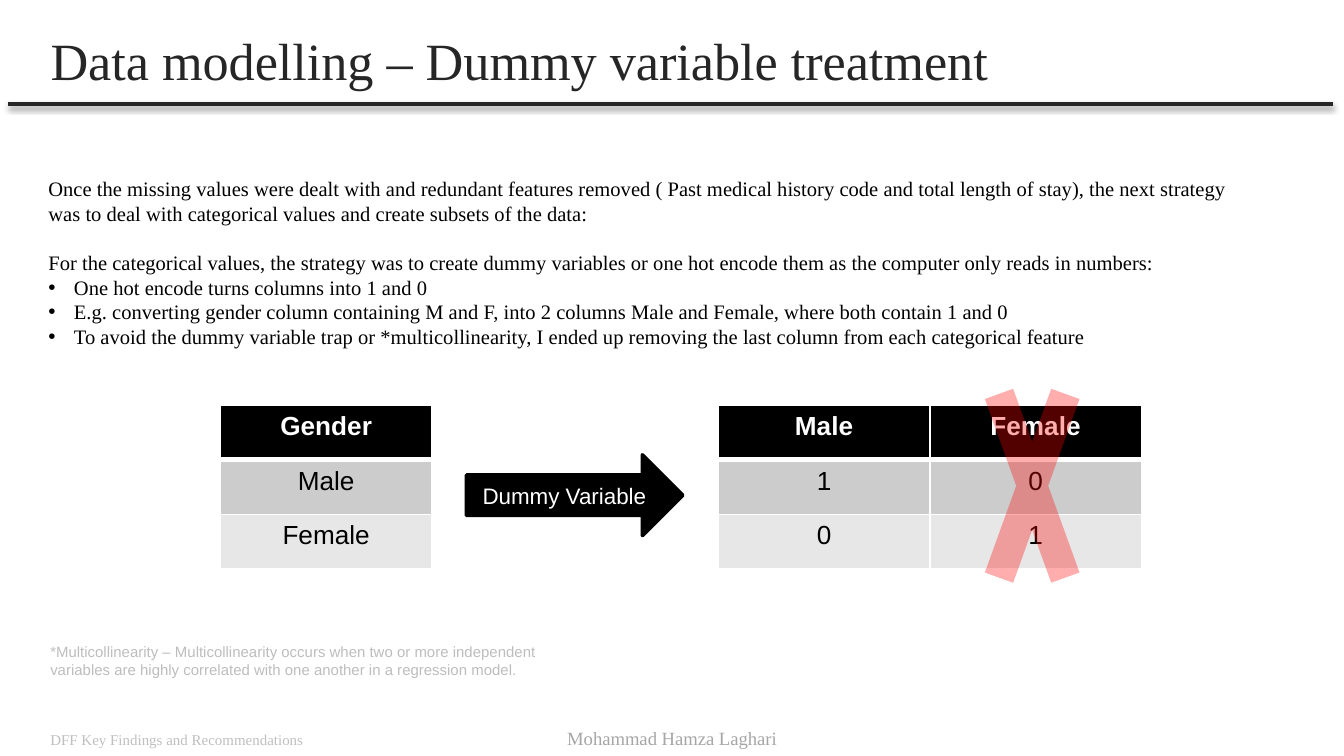
from lxml import etree
from pptx import Presentation
from pptx.dml.color import RGBColor
from pptx.enum.shapes import MSO_CONNECTOR, MSO_SHAPE
from pptx.enum.text import MSO_ANCHOR, MSO_AUTO_SIZE, PP_ALIGN
from pptx.oxml.ns import qn
from pptx.util import Inches, Pt

BLACK = RGBColor(0x00, 0x00, 0x00)
WHITE = RGBColor(0xFF, 0xFF, 0xFF)
CHARCOAL = RGBColor(0x26, 0x26, 0x26)
FOOTER_GREY = RGBColor(0xBF, 0xBF, 0xBF)
AUTHOR_GREY = RGBColor(0xA6, 0xA6, 0xA6)
NOTE_GREY = RGBColor(0xBD, 0xBD, 0xBD)
RED = RGBColor(0xFF, 0x00, 0x00)
ROW_FILLS = [BLACK, RGBColor(0xCC, 0xCC, 0xCC), RGBColor(0xE7, 0xE7, 0xE7)]

SERIF, SANS = "Times New Roman", "Arial"
GRID = Inches(0.1)  # the slide is 100 columns by 56.25 rows
COLUMN_WIDTH, ROW_HEIGHT = 15.74, 4.06
TABLE_TOP = 30.16

INTRODUCTION = [
    "Once the missing values were dealt with and redundant features removed "
    "( Past medical history code and total length of stay), the next strategy "
    "was to deal with categorical values and create subsets of the data:",
    "For the categorical values, the strategy was to create dummy variables or "
    "one hot encode them as the computer only reads in numbers:",
]
BULLETS = [
    "One hot encode turns columns into 1 and 0",
    "E.g. converting gender column containing M and F, into 2 columns Male and "
    "Female, where both contain 1 and 0",
    "To avoid the dummy variable trap or *multicollinearity, I ended up removing "
    "the last column from each categorical feature",
]
FOOTNOTE = (
    "*Multicollinearity – Multicollinearity occurs when two or more independent "
    "variables are highly correlated with one another in a regression model."
)


def cells(*lengths):
    """Turn grid lengths into slide lengths."""
    return [round(length * GRID) for length in lengths]


def style_paragraph(paragraph, size, color, name=SERIF, bold=False, align=PP_ALIGN.LEFT):
    paragraph.alignment = align
    font = paragraph.font
    font.size, font.name, font.bold = Pt(size), name, bold
    font.color.rgb = color


def add_cell_borders(cell, row_index):
    """Draw thin white borders, with a thick one below the header row."""
    widths = {"L": 1, "R": 1, "T": 3 if row_index == 1 else 1, "B": 3 if row_index == 0 else 1}
    properties = cell._tc.get_or_add_tcPr()
    for side, width in widths.items():
        border = etree.SubElement(properties, qn(f"a:ln{side}"), w=str(Pt(width)))
        fill = etree.SubElement(border, qn("a:solidFill"))
        etree.SubElement(fill, qn("a:srgbClr"), val=str(WHITE))


class SlideBuilder:
    def __init__(self):
        self.presentation = Presentation()
        self.presentation.slide_width, self.presentation.slide_height = cells(100, 56.25)
        layout = self.presentation.slide_layouts[1]
        self.slide = self.presentation.slides.add_slide(layout)
        self.shapes = self.slide.shapes

    def place(self, shape, box):
        shape.left, shape.top, shape.width, shape.height = cells(*box)

    def title(self, text, box):
        title = self.shapes.title
        self.place(title, box)
        frame = title.text_frame
        frame.text = text
        frame.auto_size = MSO_AUTO_SIZE.NONE
        frame.vertical_anchor = MSO_ANCHOR.MIDDLE
        style_paragraph(frame.paragraphs[0], 28, CHARCOAL)

    def body(self, introduction, bullets, box):
        body = self.slide.placeholders[1]
        self.place(body, box)
        frame = body.text_frame
        frame.text = "\n".join(introduction + bullets)
        frame.auto_size = MSO_AUTO_SIZE.NONE
        for index, paragraph in enumerate(frame.paragraphs):
            is_bullet = index >= len(introduction)
            indent = Inches(0.19) if is_bullet else 0
            properties = paragraph._p.get_or_add_pPr()
            properties.set("marL", str(indent))
            properties.set("indent", str(-indent))
            if is_bullet:
                etree.SubElement(properties, qn("a:buFont"), typeface=SANS)
                etree.SubElement(properties, qn("a:buChar"), char="•")
            else:
                etree.SubElement(properties, qn("a:buNone"))
            paragraph.space_before = Pt(0)
            style_paragraph(paragraph, 11, BLACK)
        frame.paragraphs[0].space_after = Pt(13.2)

    def text(self, text, box, size, color, name=SERIF, align=PP_ALIGN.LEFT, wrap=False):
        frame = self.shapes.add_textbox(*cells(*box)).text_frame
        frame.word_wrap = wrap
        frame.text = text
        style_paragraph(frame.paragraphs[0], size, color, name, align=align)

    def shadowed_rule(self, left, right, top):
        rule = self.shapes.add_connector(
            MSO_CONNECTOR.STRAIGHT, *cells(left, top, right, top))
        rule.line.color.rgb = CHARCOAL
        rule.line.width = Pt(2)
        effects = etree.SubElement(rule._element.spPr, qn("a:effectLst"))
        shadow = etree.SubElement(
            effects, qn("a:outerShdw"), blurRad=str(Pt(3.1)), dist=str(Pt(1.6)),
            dir=str(90 * 60000), rotWithShape="0")
        color = etree.SubElement(shadow, qn("a:srgbClr"), val=str(BLACK))
        etree.SubElement(color, qn("a:alpha"), val="38000")

    def table(self, rows, left):
        column_count = len(rows[0])
        box = (left, TABLE_TOP, COLUMN_WIDTH * column_count, ROW_HEIGHT * len(rows))
        table = self.shapes.add_table(len(rows), column_count, *cells(*box)).table
        for row_index, values in enumerate(rows):
            is_header = row_index == 0
            for column_index, value in enumerate(values):
                cell = table.cell(row_index, column_index)
                cell.text = value
                add_cell_borders(cell, row_index)
                cell.fill.solid()
                cell.fill.fore_color.rgb = ROW_FILLS[row_index]
                style_paragraph(
                    cell.text_frame.paragraphs[0], 14, WHITE if is_header else BLACK,
                    SANS, is_header, PP_ALIGN.CENTER)

    def shape(self, kind, box, color):
        shape = self.shapes.add_shape(kind, *cells(*box))
        shape.shadow.inherit = False
        shape.fill.solid()
        shape.fill.fore_color.rgb = color
        shape.line.fill.background()
        return shape

    def labelled_arrow(self, text, box):
        arrow = self.shape(MSO_SHAPE.RIGHT_ARROW, box, BLACK)
        arrow.line.color.rgb = BLACK
        arrow.line.width = Pt(2)
        frame = arrow.text_frame
        frame.text = text
        frame.vertical_anchor = MSO_ANCHOR.MIDDLE
        style_paragraph(frame.paragraphs[0], 12, WHITE, SANS, align=PP_ALIGN.CENTER)

    def cross_out(self, box):
        cross = self.shape(MSO_SHAPE.MATH_MULTIPLY, box, RED)
        color = cross._element.spPr.find(qn("a:solidFill")).find(qn("a:srgbClr"))
        etree.SubElement(color, qn("a:alpha"), val="32000")


def main():
    builder = SlideBuilder()
    builder.title("Data modelling – Dummy variable treatment", (2.76, 0, 91, 8.9))
    builder.shadowed_rule(0.6, 99.2, 7.75)
    builder.text("DFF Key Findings and Recommendations", (2.76, 53.9, 21, 2.4), 8, FOOTER_GREY)
    builder.text("Mohammad Hamza Laghari", (40.85, 53.6, 18.3, 2.7), 10, AUTHOR_GREY,
                 align=PP_ALIGN.CENTER)
    builder.body(INTRODUCTION, BULLETS, (2.6, 12.6, 91.1, 14))
    builder.table([["Gender"], ["Male"], ["Female"]], 16.4)
    builder.table([["Male", "Female"], ["1", "0"], ["0", "1"]], 53.45)
    builder.labelled_arrow("Dummy Variable", (34.7, 33.85, 16.1, 6))
    builder.cross_out((72.05, 23, 9.5, 26.3))
    builder.text(FOOTNOTE, (2.76, 47.35, 40.4, 3.7), 8, NOTE_GREY, SANS, wrap=True)
    builder.presentation.save("out.pptx")


if __name__ == "__main__":
    main()
